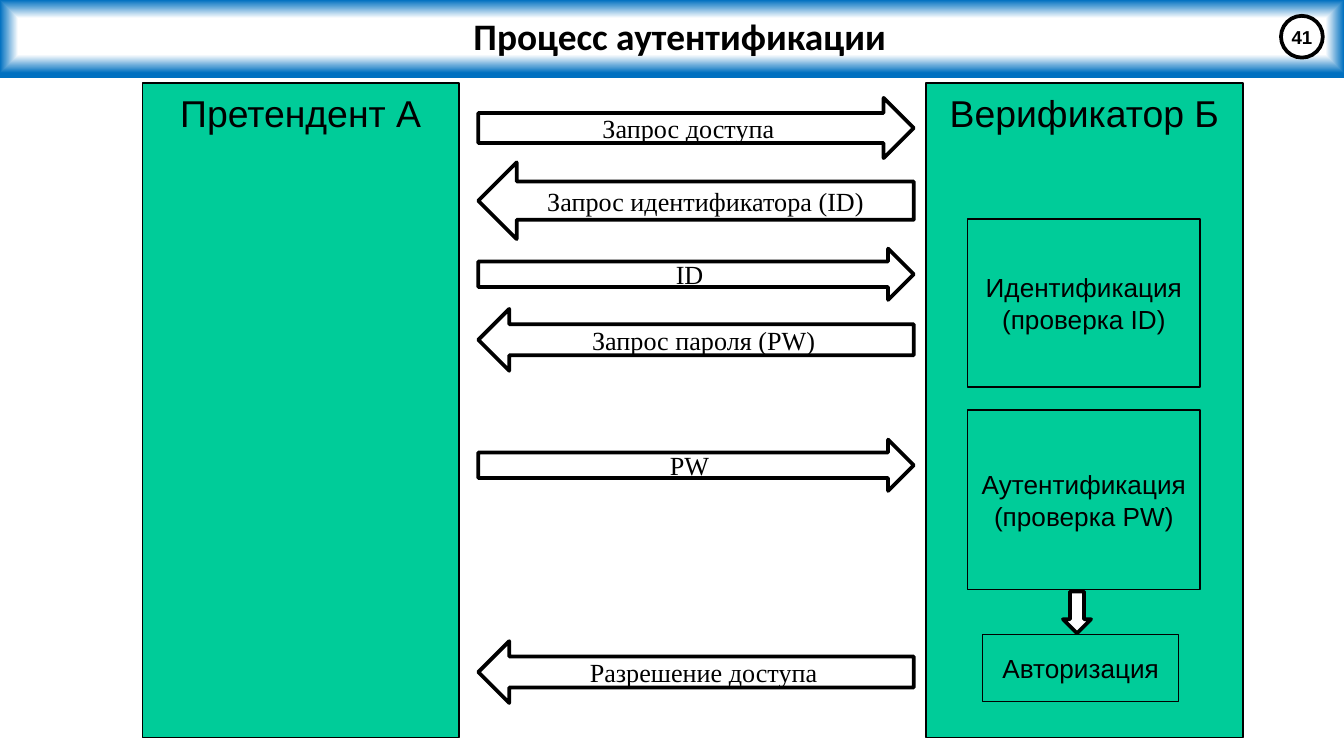
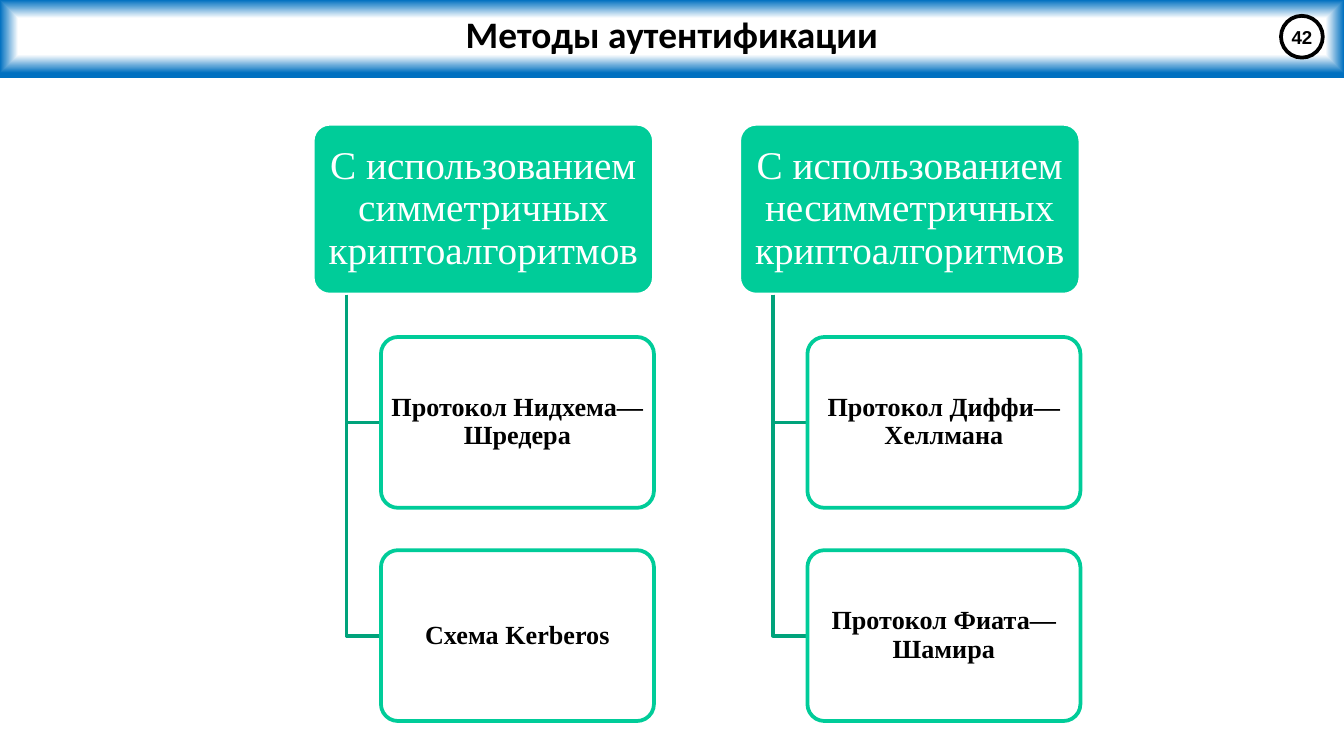
from lxml import etree
from pptx import Presentation
from pptx.dml.color import RGBColor
from pptx.enum.shapes import MSO_CONNECTOR, MSO_SHAPE
from pptx.enum.text import MSO_ANCHOR, PP_ALIGN
from pptx.oxml import parse_xml
from pptx.oxml.ns import nsdecls, qn
from pptx.util import Cm, Pt

RECTANGLE = MSO_SHAPE.RECTANGLE
ROUNDED = MSO_SHAPE.ROUNDED_RECTANGLE
ELLIPSE = MSO_SHAPE.OVAL
RIGHT = MSO_SHAPE.RIGHT_ARROW
LEFT = MSO_SHAPE.LEFT_ARROW
DOWN = MSO_SHAPE.DOWN_ARROW
STRAIGHT = MSO_CONNECTOR.STRAIGHT
TOP = MSO_ANCHOR.TOP
MIDDLE = MSO_ANCHOR.MIDDLE
CENTER = PP_ALIGN.CENTER

COLORS = {
    "white": "FFFFFF",
    "black": "000000",
    "blue": "0070C0",
    "green": "00CC99",
    "branch": "00A37B",
    "shadow": "808080",
}
SANS = "Arial"
SERIF = "Times New Roman"
TITLE_FONT = "Calibri"

WIDTH = 25.4
BAND_HEIGHT = 1.38


def add_box(slide, kind, box, fill, line, weight):
    shape = slide.shapes.add_shape(kind, *[Cm(value) for value in box])
    shape.shadow.inherit = False
    shape.fill.solid()
    shape.fill.fore_color.rgb = RGBColor.from_string(COLORS[fill])
    shape.line.color.rgb = RGBColor.from_string(COLORS[line])
    shape.line.width = Pt(weight)
    return shape


def write(shape, text, size, font, color="black", bold=False, anchor=MIDDLE,
          wrap=False, margins=(0.25, 0.13), spacing=None):
    frame = shape.text_frame
    frame.text = text
    frame.word_wrap = wrap
    frame.vertical_anchor = anchor
    frame.margin_left = frame.margin_right = Cm(margins[0])
    frame.margin_top = frame.margin_bottom = Cm(margins[1])
    for paragraph in frame.paragraphs:
        paragraph.alignment = CENTER
        paragraph.line_spacing = spacing
        for run in paragraph.runs:
            run.font.size = Pt(size)
            run.font.name = font
            run.font.bold = bold
            run.font.color.rgb = RGBColor.from_string(COLORS[color])


presentation = Presentation()
presentation.slide_width = Cm(WIDTH)
presentation.slide_height = Cm(14.29)

slides = []
for title, number, title_left, title_height in [
    ("Процесс аутентификации", "41", 0.15, 1.45),
    ("Методы аутентификации", "42", 0, 1.37),
]:
    slide = presentation.slides.add_slide(presentation.slide_layouts[6])
    slides.append(slide)

    rule = slide.shapes.add_connector(STRAIGHT, 0, Cm(1.4), Cm(WIDTH), Cm(1.4))
    rule.line.color.rgb = RGBColor.from_string(COLORS["blue"])
    rule.line.width = Pt(4.5)
    etree.SubElement(rule._element.spPr, qn("a:effectLst"))

    band = add_box(slide, RECTANGLE, (0, 0, WIDTH, BAND_HEIGHT), "white", "white", 0.75)
    band.line.fill.background()
    properties = band._element.spPr
    properties.replace(properties.find(qn("a:solidFill")), parse_xml(
        f'<a:gradFill {nsdecls("a")} rotWithShape="1"><a:gsLst>'
        f'<a:gs pos="50000"><a:srgbClr val="{COLORS["white"]}"/></a:gs>'
        f'<a:gs pos="100000"><a:srgbClr val="{COLORS["blue"]}"/></a:gs></a:gsLst>'
        '<a:path path="shape">'
        '<a:fillToRect l="50000" t="50000" r="50000" b="50000"/></a:path></a:gradFill>'))

    badge = add_box(slide, ELLIPSE, (24.21, 0.3, 0.79, 0.79), "white", "black", 2)
    write(badge, number, 10, SANS, bold=True, margins=(0, 0))

    heading = slide.shapes.add_textbox(Cm(title_left), 0, Cm(WIDTH), Cm(title_height))
    write(heading, title, 20, TITLE_FONT, bold=True, wrap=True, spacing=0.9)
    run_properties = heading.text_frame.paragraphs[0].runs[0].font._element
    run_properties.find(qn("a:solidFill")).addnext(parse_xml(
        f'<a:effectLst {nsdecls("a")}>'
        '<a:outerShdw blurRad="38100" dist="38100" dir="2700000">'
        f'<a:srgbClr val="{COLORS["shadow"]}"/></a:outerShdw></a:effectLst>'))

process, methods = slides

for left, party in [(2.69, "Претендент А"), (17.5, "Верификатор Б")]:
    panel = add_box(process, RECTANGLE, (left, 1.57, 5.99, 12.37), "green", "black", 0.75)
    write(panel, party, 20, SANS, anchor=TOP)

for box, text in [
    ((18.29, 4.14, 4.39, 3.18), "Идентификация\n(проверка ID)"),
    ((18.29, 7.75, 4.39, 3.4), "Аутентификация\n(проверка PW)"),
    ((18.57, 11.99, 3.71, 1.27), "Авторизация"),
]:
    check = add_box(process, RECTANGLE, box, "green", "black", 0.75)
    write(check, text, 14, SANS)

for kind, top, height, message in [
    (RIGHT, 1.85, 1.14, "Запрос доступа"),
    (LEFT, 3.07, 1.45, "Запрос идентификатора (ID)"),
    (RIGHT, 4.7, 0.97, "ID"),
    (LEFT, 5.84, 1.17, "Запрос пароля (PW)"),
    (RIGHT, 8.31, 0.97, "PW"),
    (LEFT, 12.12, 1.17, "Разрешение доступа"),
]:
    arrow = add_box(process, kind, (9.04, top, 8.23, height), "white", "black", 2)
    write(arrow, message, 14, SERIF)

add_box(process, DOWN, (20.09, 11.18, 0.53, 0.79), "white", "black", 2)

FIRST_TOP = 2.34
ROW_STEP = 4.03
NODE_HEIGHT = 3.23
STEM_OFFSET = 0.64
CHILD_OFFSET = 1.29

for left, group, protocols in [
    (5.91, "С использованием симметричных криптоалгоритмов",
     ["Протокол Нидхема—Шредера", "Схема Kerberos"]),
    (13.97, "С использованием несимметричных криптоалгоритмов",
     ["Протокол Диффи—Хеллмана", "Протокол Фиата—Шамира"]),
]:
    parent = add_box(methods, ROUNDED, (left, FIRST_TOP, 6.45, NODE_HEIGHT),
                     "green", "white", 2)
    parent.adjustments[0] = 0.1
    write(parent, group, 21, SERIF, color="white", wrap=True,
          margins=(0.1, 0.07), spacing=0.9)

    stem = Cm(left + STEM_OFFSET)
    child_left = left + CHILD_OFFSET
    for row, protocol in enumerate(protocols, 1):
        top = FIRST_TOP + row * ROW_STEP
        middle = Cm(top + NODE_HEIGHT / 2)
        builder = methods.shapes.build_freeform(stem, Cm(FIRST_TOP + NODE_HEIGHT))
        builder.add_line_segments([(stem, middle), (Cm(child_left), middle)], close=False)
        branch = builder.convert_to_shape()
        branch.shadow.inherit = False
        branch.fill.background()
        branch.line.color.rgb = RGBColor.from_string(COLORS["branch"])
        branch.line.width = Pt(2)

        child = add_box(methods, ROUNDED, (child_left, top, 5.16, NODE_HEIGHT),
                        "white", "green", 2)
        child.adjustments[0] = 0.1
        fill_color = child._element.spPr.find(qn("a:solidFill"))[0]
        etree.SubElement(fill_color, qn("a:alpha"), val="90000")
        write(child, protocol, 14, SERIF, bold=True, wrap=True,
              margins=(0.07, 0.05), spacing=0.9)

presentation.save("out.pptx")
